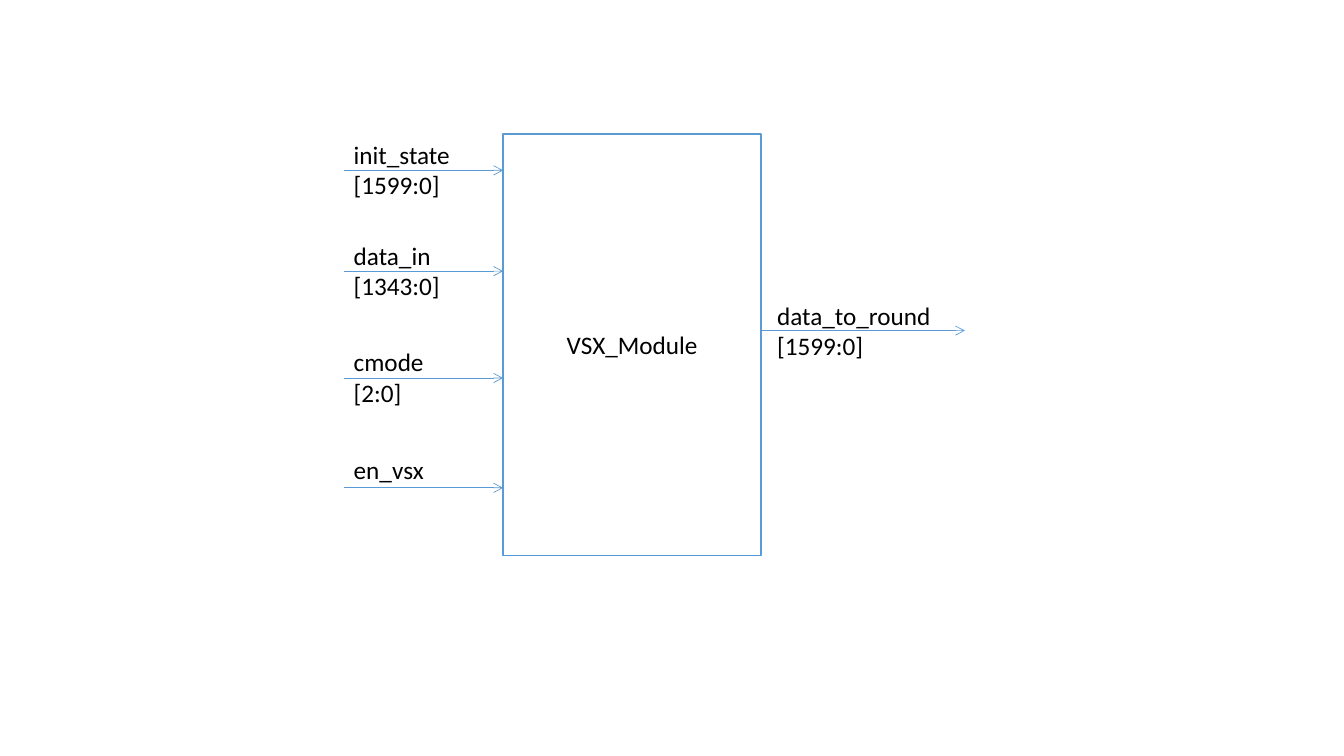
from lxml.etree import SubElement
from pptx import Presentation
from pptx.dml.color import RGBColor
from pptx.enum.shapes import MSO_CONNECTOR, MSO_SHAPE
from pptx.enum.text import MSO_ANCHOR, MSO_AUTO_SIZE, PP_ALIGN
from pptx.oxml.ns import qn
from pptx.util import Inches, Pt

COLORS = {"box": "FFFFFF", "line": "5B9BD5", "text": "000000"}
FONT = {"name": "Calibri", "size": Pt(18)}

# Module block edges and outer ends of the signal arrows
LEFT, TOP, RIGHT, BOTTOM = 4.99, 1.33, 7.55, 5.51
INPUT_START, OUTPUT_END = 3.41, 9.57
LABEL_WIDTH = 1.95

# Signal lines, arrow height, label top
INPUTS = [
    (["init_state [1599:0]"], 1.69, 1.33),
    (["data_in", "[1343:0]"], 2.69, 2.33),
    (["cmode", "[2:0]"], 3.75, 3.39),
    (["en_vsx"], 4.84, 4.46),
]
OUTPUT = (["data_to_round [1599:0]"], 3.28, 2.93)


def color(name):
    return RGBColor.from_string(COLORS[name])


def style_line(line, width):
    line.color.rgb = color("line")
    line.width = Pt(width)


def write(frame, lines, align):
    frame.word_wrap = True
    frame.text = "\n".join(lines)
    for paragraph in frame.paragraphs:
        paragraph.alignment = align
        font = paragraph.runs[0].font
        for attribute, value in FONT.items():
            setattr(font, attribute, value)
        font.color.rgb = color("text")


def add_module(slide, name):
    module = slide.shapes.add_shape(
        MSO_SHAPE.RECTANGLE, Inches(LEFT), Inches(TOP),
        Inches(RIGHT - LEFT), Inches(BOTTOM - TOP))
    module.shadow.inherit = False
    module.fill.solid()
    module.fill.fore_color.rgb = color("box")
    style_line(module.line, 1)
    module.text_frame.vertical_anchor = MSO_ANCHOR.MIDDLE
    write(module.text_frame, [name], PP_ALIGN.CENTER)


def add_arrow(slide, start, end, y):
    arrow = slide.shapes.add_connector(
        MSO_CONNECTOR.STRAIGHT, Inches(start), Inches(y), Inches(end), Inches(y))
    style_line(arrow.line, 0.5)
    SubElement(arrow.line._get_or_add_ln(), qn("a:tailEnd"), type="arrow")
    SubElement(arrow._element.spPr, qn("a:effectLst"))


def add_label(slide, lines, left, top):
    height = 0.4 if lines == ["en_vsx"] else 0.71
    label = slide.shapes.add_textbox(
        Inches(left), Inches(top), Inches(LABEL_WIDTH), Inches(height))
    write(label.text_frame, lines, PP_ALIGN.LEFT)
    label.text_frame.auto_size = MSO_AUTO_SIZE.SHAPE_TO_FIT_TEXT


def main():
    deck = Presentation()
    deck.slide_width, deck.slide_height = Inches(13.33), Inches(7.5)
    slide = deck.slides.add_slide(deck.slide_layouts[6])

    add_module(slide, "VSX_Module")

    # Input signals
    for lines, y, label_top in INPUTS:
        add_arrow(slide, INPUT_START, LEFT, y)
        add_label(slide, lines, INPUT_START, label_top)

    # Output signal
    lines, y, label_top = OUTPUT
    add_arrow(slide, RIGHT, OUTPUT_END, y)
    add_label(slide, lines, RIGHT + 0.06, label_top)

    deck.save("out.pptx")


main()
